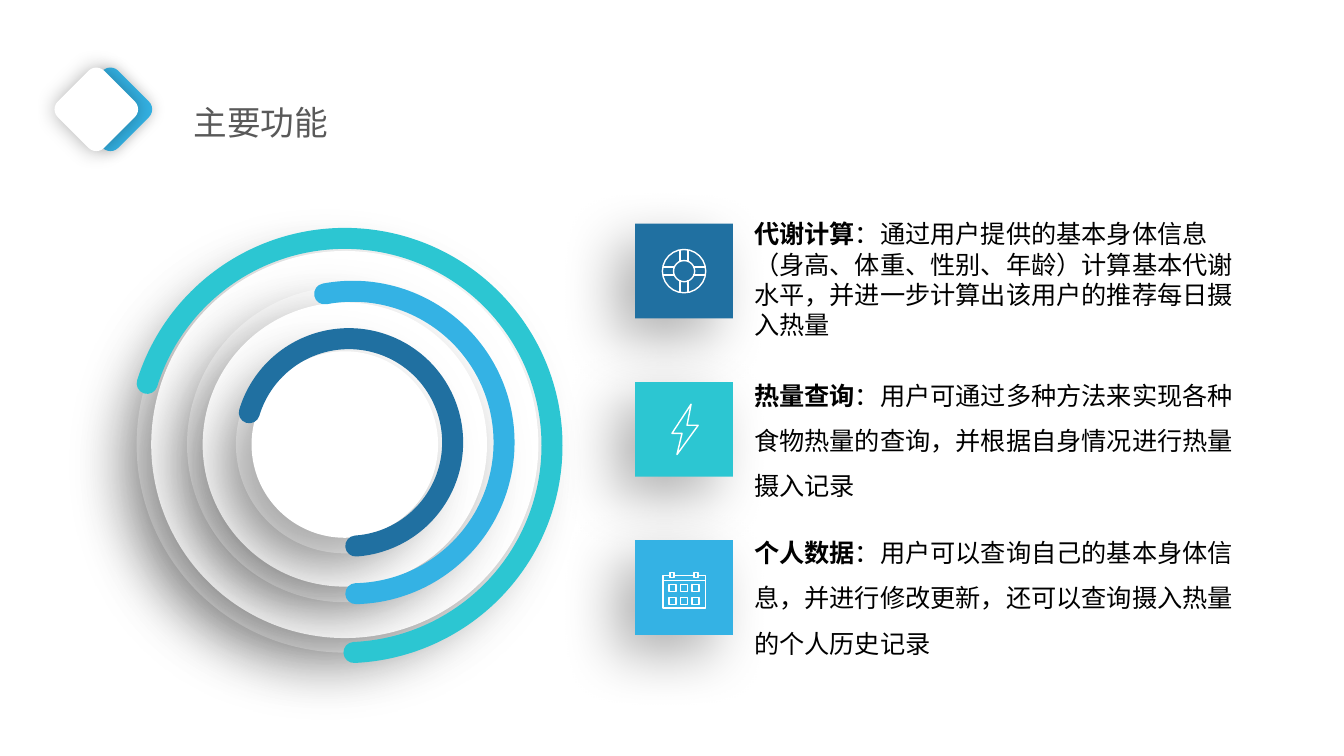
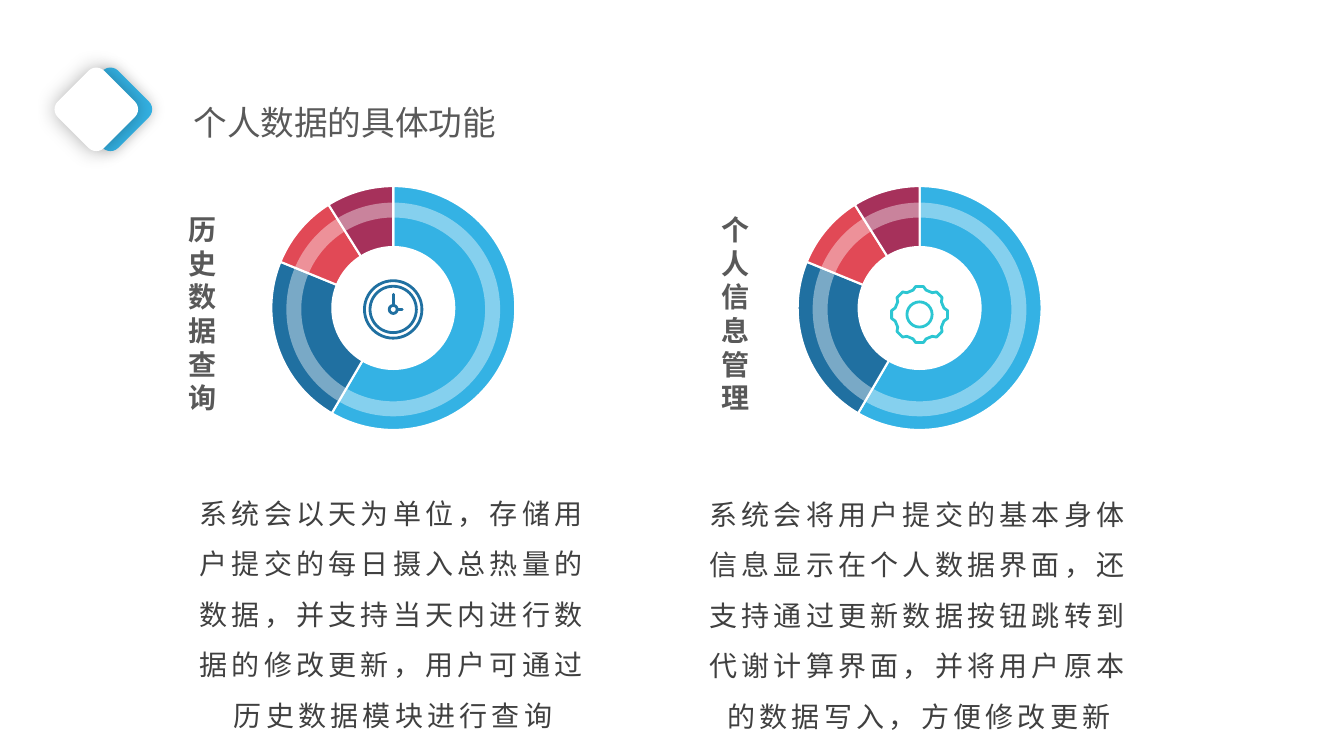
from math import cos, radians, sin

from lxml.etree import SubElement
from pptx import Presentation
from pptx.chart.data import CategoryChartData
from pptx.dml.color import RGBColor
from pptx.enum.chart import XL_CHART_TYPE as Chart
from pptx.enum.shapes import MSO_CONNECTOR as Connector, MSO_SHAPE as Shape
from pptx.enum.text import MSO_AUTO_SIZE as AutoSize, PP_ALIGN as Align
from pptx.oxml import parse_xml
from pptx.oxml.ns import nsdecls, qn
from pptx.util import Inches, Pt

WHITE = RGBColor(0xFF, 0xFF, 0xFF)
BLACK = RGBColor(0, 0, 0)
GRAY = RGBColor(0x59, 0x59, 0x59)
DARK = RGBColor(0x40, 0x40, 0x40)
SKY = RGBColor(0x34, 0xB2, 0xE4)
BLUE = RGBColor(0x20, 0x70, 0xA1)
TEAL = RGBColor(0x2C, 0xC6, 0xD2)
RED = RGBColor(0xE1, 0x49, 0x56)
WINE = RGBColor(0xA6, 0x31, 0x5B)
FONT = "Calibri"
DEEP_SHADOW = (30, 40, 20, 135)


class Deck:
    def __init__(self):
        self.deck = Presentation()
        self.deck.slide_width = Inches(13.33)
        self.deck.slide_height = Inches(7.5)
        self.page = None

    def add_page(self, title):
        self.page = self.deck.slides.add_slide(self.deck.slide_layouts[6])
        self.text((1.82, 0.76, 4.09, 0.64), [(title, False)], 24, GRAY, spacing=1.5)
        for left, color, shadow in ((0.77, SKY, (20, 10, 0, 0)), (0.63, WHITE, (30, 15, 0, 0))):
            diamond = self.shape(Shape.ROUNDED_RECTANGLE, (left, 0.76, 0.65, 0.65), color, shadow=shadow)
            diamond.rotation = 45

    def text(self, area, parts, size, color, spacing=None, align=None, tracking=None):
        box = self.page.shapes.add_textbox(*map(Inches, area))
        frame = box.text_frame
        frame.word_wrap = True
        frame.auto_size = AutoSize.SHAPE_TO_FIT_TEXT
        para = frame.paragraphs[0]
        para.alignment = align
        para.line_spacing = spacing
        for words, bold in parts:
            span = para.add_run()
            span.text = words
            span.font.name = FONT
            span.font.size = Pt(size)
            span.font.bold = bold
            span.font.color.rgb = color
            if tracking:
                span._r.get_or_add_rPr().set("spc", str(tracking * 100))

    def style(self, shape, fill, line, width, opacity, shadow):
        shape.shadow.inherit = False
        properties = shape._element.spPr
        if fill is None:
            shape.fill.background()
        else:
            shape.fill.solid()
            shape.fill.fore_color.rgb = fill
            if opacity < 100:
                color = properties.find(qn("a:solidFill"))[0]
                SubElement(color, qn("a:alpha"), val=str(opacity * 1000))
        if line is None:
            shape.line.fill.background()
        else:
            self.stroke(shape, line, width)
        if shadow:
            alpha, blur, distance, angle = shadow
            effect = SubElement(
                properties.find(qn("a:effectLst")), qn("a:outerShdw"),
                blurRad=str(Pt(blur)), dist=str(Pt(distance)), dir=str(angle * 60000),
                algn="ctr", rotWithShape="0")
            color = SubElement(effect, qn("a:srgbClr"), val="000000")
            SubElement(color, qn("a:alpha"), val=str(alpha * 1000))
        return shape

    def stroke(self, shape, color, width):
        shape.line.color.rgb = color
        shape.line.width = Pt(width)

    def round_ends(self, shape):
        shape._element.spPr.find(qn("a:ln")).set("cap", "rnd")

    def shape(self, kind, area, fill=None, line=None, width=1, opacity=100, shadow=None):
        shape = self.page.shapes.add_shape(kind, *map(Inches, area))
        return self.style(shape, fill, line, width, opacity, shadow)

    def circle(self, x, y, size, **look):
        return self.shape(Shape.OVAL, (x - size / 2, y - size / 2, size, size), **look)

    def arc(self, x, y, size, start, end, color):
        arc = self.shape(Shape.ARC, (x - size / 2, y - size / 2, size, size), line=color, width=15)
        arc.adjustments[0] = start * 0.6
        arc.adjustments[1] = end * 0.6
        self.round_ends(arc)

    def outline(self, x, y, points, color, width=1, close=True):
        places = [(Inches(x + dx), Inches(y + dy)) for dx, dy in points]
        builder = self.page.shapes.build_freeform(*places[0])
        builder.add_line_segments(places[1:], close=close)
        self.style(builder.convert_to_shape(), None, color, width, 100, None)

    def line(self, x, y, start, end, color, width=1):
        ends = (x + start[0], y + start[1], x + end[0], y + end[1])
        line = self.page.shapes.add_connector(Connector.STRAIGHT, *map(Inches, ends))
        self.stroke(line, color, width)
        SubElement(line._element.spPr, qn("a:effectLst"))
        return line

    def doughnut(self, left, top, values, colors):
        data = CategoryChartData()
        data.categories = [str(number + 1) for number in range(len(values))]
        data.add_series("Series 1", values)
        width, height, size = 2.76, 2.71, 2.42
        frame = self.page.shapes.add_chart(
            Chart.DOUGHNUT, *map(Inches, (left, top, width, height)), data)
        chart = frame.chart
        chart.has_legend = False
        chart.has_title = False
        chart.font.name = FONT
        chart.font.size = Pt(10)
        chart.font.color.rgb = BLACK
        plot = chart.plots[0]
        plot.vary_by_categories = True
        for index, color in enumerate(colors):
            point = plot.series[0].points[index].format
            point.fill.solid()
            point.fill.fore_color.rgb = color
            point.line.color.rgb = WHITE
            point.line.width = Pt(1.5)
        area = chart._chartSpace.chart.plotArea
        area.find(".//" + qn("c:holeSize")).set("val", "75")
        for layout in area.findall(qn("c:layout")):
            area.remove(layout)
        wide, high = size / width, size / height
        area.insert(0, parse_xml(
            f'<c:layout {nsdecls("c")}><c:manualLayout><c:layoutTarget val="inner"/>'
            f'<c:xMode val="edge"/><c:yMode val="edge"/>'
            f'<c:x val="{(1 - wide) / 2:.3f}"/><c:y val="{(1 - high) / 2:.3f}"/>'
            f'<c:w val="{wide:.3f}"/><c:h val="{high:.3f}"/></c:manualLayout></c:layout>'))
        ring = self.shape(Shape.DONUT, (left + 0.32, top + 0.31, 2.12, 2.12), WHITE, opacity=40)
        ring.adjustments[0] = 0.07

    def lifebuoy(self, x, y):
        for size in (0.43, 0.21):
            self.circle(x, y, size, line=WHITE)
        for side in (-1, 1):
            for offset in (-0.04, 0.04):
                self.line(x, y, (offset, side * 0.09), (offset, side * 0.21), WHITE)
                self.line(x, y, (side * 0.09, offset), (side * 0.21, offset), WHITE)

    def bolt(self, x, y):
        points = [(0.07, -0.25), (-0.12, 0.04), (-0.02, 0.04),
                  (-0.07, 0.25), (0.14, -0.04), (0.03, -0.04)]
        self.outline(x, y, points, WHITE)

    def calendar(self, x, y):
        frame = [(-0.14, -0.12), (-0.21, -0.12), (-0.21, 0.2),
                 (0.21, 0.2), (0.21, -0.12), (0.14, -0.12)]
        self.outline(x, y, frame, WHITE, close=False)
        self.line(x, y, (-0.1, -0.12), (0.1, -0.12), WHITE)
        self.line(x, y, (-0.21, -0.07), (0.21, -0.07), WHITE)
        for ring in (-0.12, 0.12):
            self.shape(Shape.RECTANGLE, (x + ring - 0.02, y - 0.15, 0.04, 0.05), line=WHITE)
        for column in range(3):
            for row in range(2):
                left, top = x - 0.15 + column * 0.115, y - 0.03 + row * 0.13
                self.shape(Shape.RECTANGLE, (left, top, 0.07, 0.07), line=WHITE)

    def clock(self, x, y):
        for size in (0.57, 0.46, 0.08):
            self.circle(x, y, size, line=BLUE, width=2)
        for start, end in (((0, -0.04), (0, -0.15)), ((0.04, 0), (0.09, 0))):
            self.round_ends(self.line(x, y, start, end, BLUE, 2))

    def gear(self, x, y):
        profile = ((-15, 0.25), (-8, 0.28), (8, 0.28), (15, 0.25))
        points = [(radius * cos(radians(tooth + turn)), radius * sin(radians(tooth + turn)))
                  for tooth in range(0, 360, 45) for turn, radius in profile]
        self.outline(x, y, points, TEAL, 2)
        self.circle(x, y, 0.25, line=TEAL, width=2)


def add_main_functions(deck):
    deck.add_page("主要功能")
    for outer, inner in ((4.13, 3.84), (3.13, 2.82), (2.16, 1.85)):
        deck.circle(3.42, 4.41, outer, fill=WHITE, opacity=65, shadow=DEEP_SHADOW)
        deck.circle(3.42, 4.41, inner, fill=WHITE, shadow=DEEP_SHADOW)
    deck.arc(3.42, 4.42, 4.11, 197.45, 87.48, TEAL)
    deck.arc(3.5, 4.39, 3, 259.26, 88.87, SKY)
    deck.arc(3.46, 4.39, 2.06, 196.61, 86.17, BLUE)
    features = (
        (BLUE, deck.lifebuoy, 2.12, None, "代谢计算",
         "：通过用户提供的基本身体信息（身高、体重、性别、年龄）计算基本代谢水平，并进一步计算出该用户的推荐每日摄入热量"),
        (TEAL, deck.bolt, 3.57, 1.5, "热量查询",
         "：用户可通过多种方法来实现各种食物热量的查询，并根据自身情况进行热量摄入记录"),
        (SKY, deck.calendar, 5.13, 1.5, "个人数据",
         "：用户可以查询自己的基本身体信息，并进行修改更新，还可以查询摄入热量的个人历史记录"),
    )
    for index, (color, draw_icon, text_top, spacing, name, detail) in enumerate(features):
        top = 2.22 + index * 1.57
        deck.shape(Shape.RECTANGLE, (6.3, top, 0.97, 0.94), color, shadow=DEEP_SHADOW)
        draw_icon(6.785, top + 0.47)
        deck.text((7.38, text_top, 5.02, 1.42), [(name, True), (detail, False)], 18, BLACK, spacing)


def add_personal_data(deck):
    deck.add_page("个人数据的具体功能")
    topics = (
        (2.52, deck.clock, 3.07, 1.77, "历史数据查询", (1.76, 4.71, 4.28, 2.93),
         "系统会以天为单位，存储用户提交的每日摄入总热量的数据，并支持当天内进行数据的修改更新，用户可通过历史数据模块进行查询"),
        (7.74, deck.gear, 3.12, 7.06, "个人信息管理", (6.86, 4.72, 4.51, 2.57),
         "系统会将用户提交的基本身体信息显示在个人数据界面，还支持通过更新数据按钮跳转到代谢计算界面，并将用户原本的数据写入，方便修改更新"),
    )
    for left, draw_icon, icon_y, name_left, name, area, detail in topics:
        deck.doughnut(left, 1.7, (59, 23, 10, 9), (SKY, BLUE, RED, WINE))
        draw_icon(left + 1.38, icon_y)
        deck.text((name_left, 2.06, 0.48, 2.12), [(name, True)], 20, GRAY)
        deck.text(area, [(detail, False)], 20, DARK, 1.5, Align.CENTER, tracking=3)


def main():
    deck = Deck()
    add_main_functions(deck)
    add_personal_data(deck)
    deck.deck.save("out.pptx")


if __name__ == "__main__":
    main()
